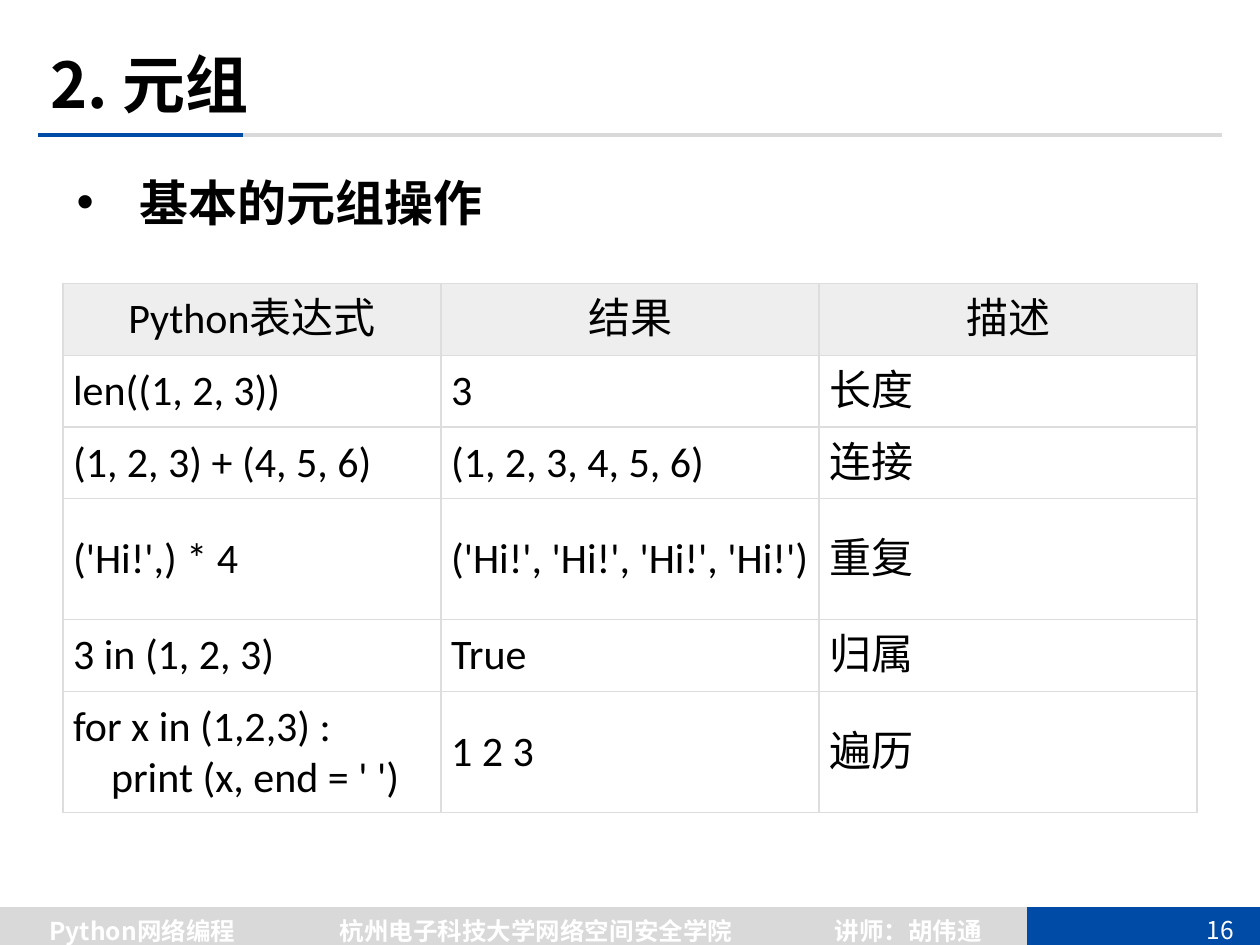
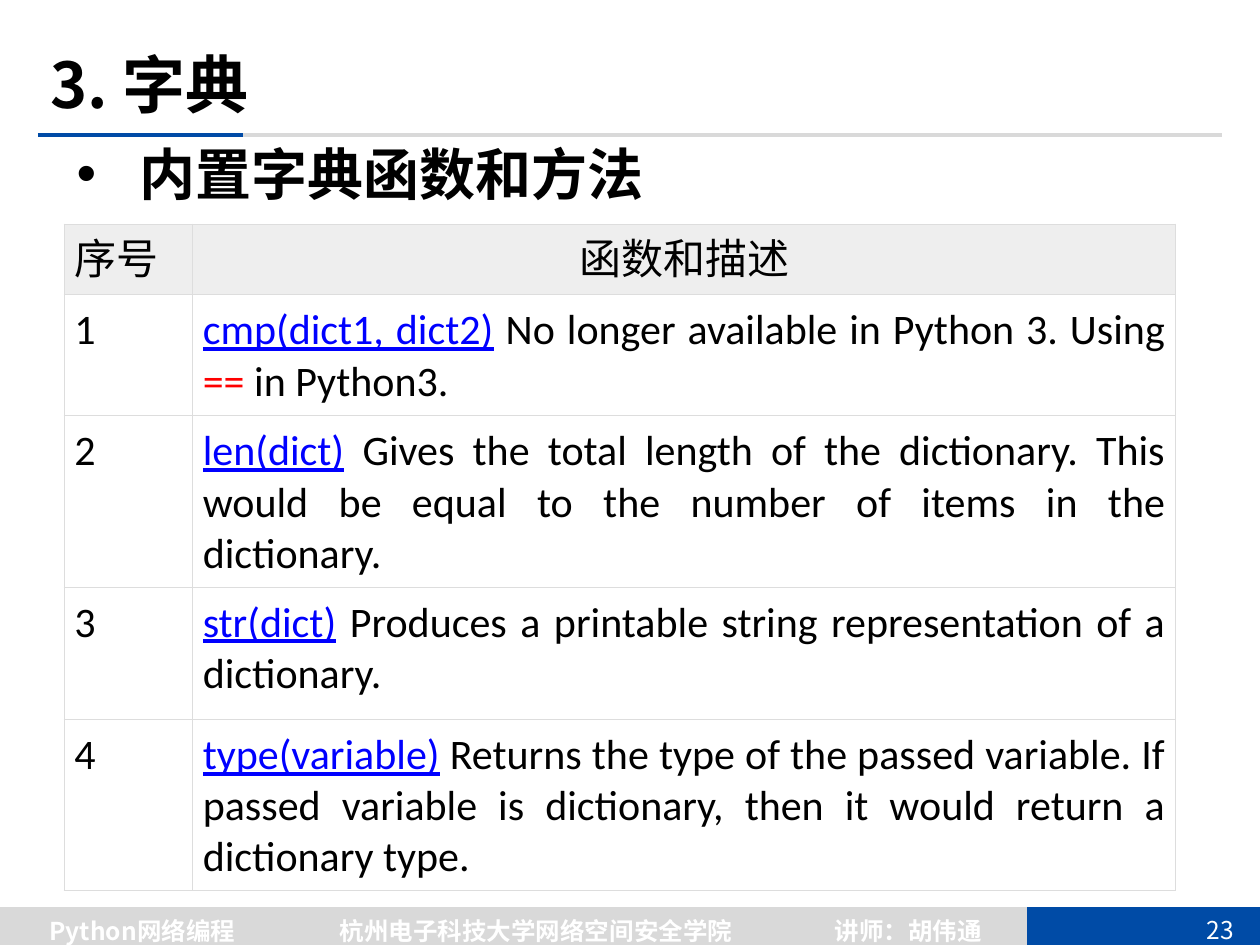
from lxml import etree
from pptx import Presentation
from pptx.dml.color import RGBColor
from pptx.enum.lang import MSO_LANGUAGE_ID
from pptx.enum.shapes import MSO_CONNECTOR
from pptx.enum.text import MSO_ANCHOR, MSO_AUTO_SIZE, PP_ALIGN
from pptx.oxml import parse_xml
from pptx.oxml.ns import nsdecls, qn
from pptx.util import Inches, Pt

LEFT, CENTER, JUSTIFY = PP_ALIGN.LEFT, PP_ALIGN.CENTER, PP_ALIGN.JUSTIFY
TOP, MIDDLE = MSO_ANCHOR.TOP, MSO_ANCHOR.MIDDLE
STRAIGHT = MSO_CONNECTOR.STRAIGHT
GROW = MSO_AUTO_SIZE.SHAPE_TO_FIT_TEXT
CHINESE = MSO_LANGUAGE_ID.SIMPLIFIED_CHINESE

BLACK = RGBColor(0x00, 0x00, 0x00)
WHITE = RGBColor(0xFF, 0xFF, 0xFF)
BLUE = RGBColor(0x00, 0x4B, 0xA6)
GREY = RGBColor(0xD9, 0xD9, 0xD9)
HEADER_FILL = RGBColor(0xEE, 0xEE, 0xEE)
BORDER = RGBColor(0xDD, 0xDD, 0xDD)
LINK_BLUE = RGBColor(0x00, 0x00, 0xFF)
RED = RGBColor(0xFF, 0x00, 0x00)
HEADING_FONT, BODY_FONT = "Noto Sans CJK SC", "Calibri"

BANDS = [
    (9.96, 0, 7.37, GREY, 25),
    (10, 8.15, 7.37, BLUE, 25),
    (0.3, 9.7, 1.07, GREY, 2.25),
    (0.3, 1.93, 1.07, BLUE, 2.25),
]
FOOTERS = [
    ("Python网络编程", (-0.04, 7.22, 2.34, 0.34)),
    ("杭州电子科技大学网络空间安全学院", (2.01, 7.22, 4.49, 0.34)),
    ("讲师：胡伟通", (6.5, 7.22, 1.42, 0.34)),
]
NUMBER_AREA = (9.41, 7.21, 0.55, 0.34)
TITLE_AREA = (0.3, 0.28, 9.2, 0.77)


def function_entry(name, *description):
    return [(name, {"color": LINK_BLUE, "underline": True}), " ", *description]


SLIDES = [
    {
        "title": "2. 元组",
        "number": "16",
        "bullet": "基本的元组操作",
        "bullet_area": (0.51, 1.32, 9.06, 0.57),
        "bullet_size": 28,
        "table_corner": (0.5, 2.25),
        "columns": [3, 3, 3],
        "heights": [0.57, 0.57, 0.57, 0.96, 0.57, 0.96],
        "header_aligns": [CENTER, CENTER, CENTER],
        "body_aligns": [LEFT, LEFT, LEFT],
        "body_anchor": MIDDLE,
        "rows": [
            ["Python表达式", "结果", "描述"],
            ["len((1, 2, 3))", "3", "长度"],
            ["(1, 2, 3) + (4, 5, 6)", "(1, 2, 3, 4, 5, 6)", "连接"],
            ["('Hi!',) * 4", "('Hi!', 'Hi!', 'Hi!', 'Hi!')", "重复"],
            ["3 in (1, 2, 3)", "True", "归属"],
            ["for x in (1,2,3) :\n    print (x, end = ' ')", "1 2 3", "遍历"],
        ],
    },
    {
        "title": "3. 字典",
        "number": "23",
        "bullet": "内置字典函数和方法",
        "bullet_area": (0.51, 1.06, 9.06, 0.64),
        "bullet_size": 32,
        "table_corner": (0.51, 1.78),
        "columns": [1.02, 7.8],
        "heights": [0.56, 0.96, 1.36, 1.05, 1.36],
        "header_aligns": [LEFT, CENTER],
        "body_aligns": [LEFT, JUSTIFY],
        "body_anchor": TOP,
        "rows": [
            ["序号", "函数和描述"],
            ["1", function_entry(
                "cmp(dict1, dict2)",
                "No longer available in Python 3. Using ",
                ("== ", {"color": RED}),
                "in Python3.")],
            ["2", function_entry(
                "len(dict)",
                "Gives the total length of the dictionary. This would be equal "
                "to the number of items in the dictionary.")],
            ["3", function_entry(
                "str(dict)",
                "Produces a printable string representation of a dictionary.")],
            ["4", function_entry(
                "type(variable)",
                "Returns the type of the passed variable. If passed variable is "
                "dictionary, then it would return a dictionary type.")],
        ],
    },
]


def add_span(para, text, size, font, color=BLACK, bold=False, underline=False):
    span = para.add_run()
    span.text = text
    span.font.size = Pt(size)
    span.font.name = font
    span.font.bold = bold
    span.font.underline = underline
    span.font.color.rgb = color
    span.font.language_id = CHINESE
    latin = span.font._element.find(qn("a:latin"))
    east_asian = etree.Element(qn("a:ea"), typeface=font)
    latin.addnext(east_asian)


def write_text(frame, text, align=LEFT, bullet=False, **style):
    paragraphs = text.split("\n") if isinstance(text, str) else [text]
    for index, content in enumerate(paragraphs):
        para = frame.add_paragraph() if index else frame.paragraphs[0]
        para.alignment = align
        if bullet:
            properties = para._p.get_or_add_pPr()
            properties.set("marL", str(Inches(0.5)))
            properties.set("indent", str(Inches(-0.5)))
            etree.SubElement(properties, qn("a:buFont"), typeface="Arial")
            etree.SubElement(properties, qn("a:buChar"), char="•")
        for part in [content] if isinstance(content, str) else content:
            words, changes = (part, {}) if isinstance(part, str) else part
            add_span(para, words, **{**style, **changes})


def add_text_box(page, text, area, anchor=TOP, **style):
    box = page.shapes.add_textbox(*map(Inches, area))
    box.text_frame.word_wrap = True
    box.text_frame.auto_size = GROW
    box.text_frame.vertical_anchor = anchor
    write_text(box.text_frame, text, **style)


def add_frame(page, number):
    for start, end, height, color, width in BANDS:
        band = page.shapes.add_connector(
            STRAIGHT, Inches(start), Inches(height), Inches(end), Inches(height))
        band.line.color.rgb = color
        band.line.width = Pt(width)
        etree.SubElement(band._element.spPr, qn("a:effectLst"))
    footer_style = dict(
        anchor=MIDDLE, align=CENTER, size=14, font=HEADING_FONT, color=WHITE)
    for text, area in FOOTERS:
        add_text_box(page, text, area, bold=True, **footer_style)
    add_text_box(page, number, NUMBER_AREA, **footer_style)


def add_title(page, text):
    title = page.shapes.title
    title.left, title.top, title.width, title.height = map(Inches, TITLE_AREA)
    title.text_frame.word_wrap = True
    title.text_frame.auto_size = MSO_AUTO_SIZE.NONE
    title.text_frame.vertical_anchor = MIDDLE
    write_text(title.text_frame, text, size=36, font=HEADING_FONT, bold=True)


def format_cell(cell, fill, anchor):
    cell.margin_left = cell.margin_right = Inches(0.08)
    cell.margin_top = cell.margin_bottom = Inches(0.08)
    cell.vertical_anchor = anchor
    properties = cell._tc.get_or_add_tcPr()
    for side in ("lnL", "lnR", "lnT", "lnB"):
        properties.append(parse_xml(
            f'<a:{side} {nsdecls("a")} w="{Pt(0.75)}"><a:solidFill>'
            f'<a:srgbClr val="{BORDER}"/></a:solidFill></a:{side}>'))
    cell.fill.solid()
    cell.fill.fore_color.rgb = fill


def add_grid(page, content):
    rows, columns, heights = (content[key] for key in ("rows", "columns", "heights"))
    size = (sum(columns), sum(heights))
    table = page.shapes.add_table(
        len(rows), len(columns),
        *map(Inches, content["table_corner"] + size)).table
    table.first_row = table.horz_banding = False
    for column, width in zip(table.columns, columns):
        column.width = Inches(width)
    for row_index, (row, height) in enumerate(zip(rows, heights)):
        table.rows[row_index].height = Inches(height)
        header = row_index == 0
        aligns = content["header_aligns" if header else "body_aligns"]
        for column_index, (text, align) in enumerate(zip(row, aligns)):
            cell = table.cell(row_index, column_index)
            format_cell(cell, HEADER_FILL if header else WHITE,
                        TOP if header else content["body_anchor"])
            write_text(cell.text_frame, text, align=align, size=24, font=BODY_FONT)


def main():
    deck = Presentation()
    deck.slide_width, deck.slide_height = Inches(10), Inches(7.5)
    for content in SLIDES:
        page = deck.slides.add_slide(deck.slide_layouts[5])
        add_frame(page, content["number"])
        add_title(page, content["title"])
        add_text_box(page, content["bullet"], content["bullet_area"], bullet=True,
                     size=content["bullet_size"], font=BODY_FONT, bold=True)
        add_grid(page, content)
    deck.save("out.pptx")


if __name__ == "__main__":
    main()
